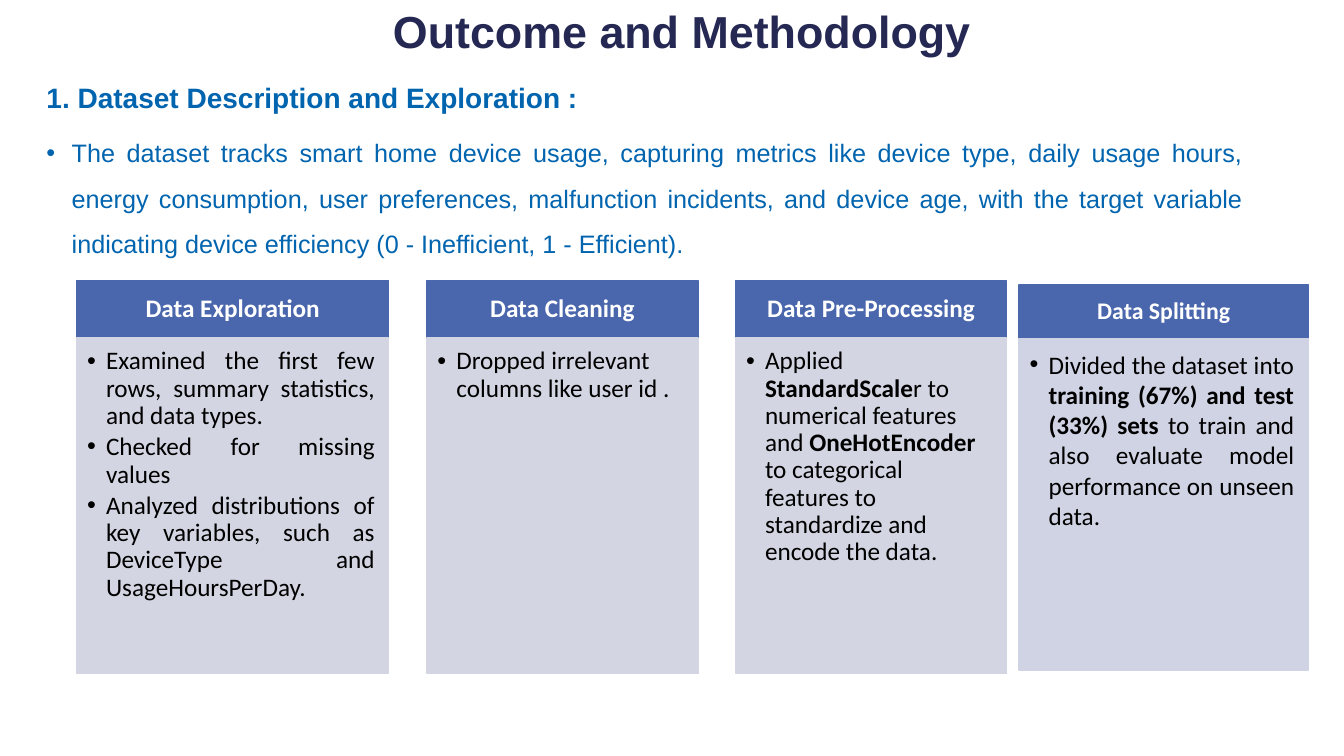
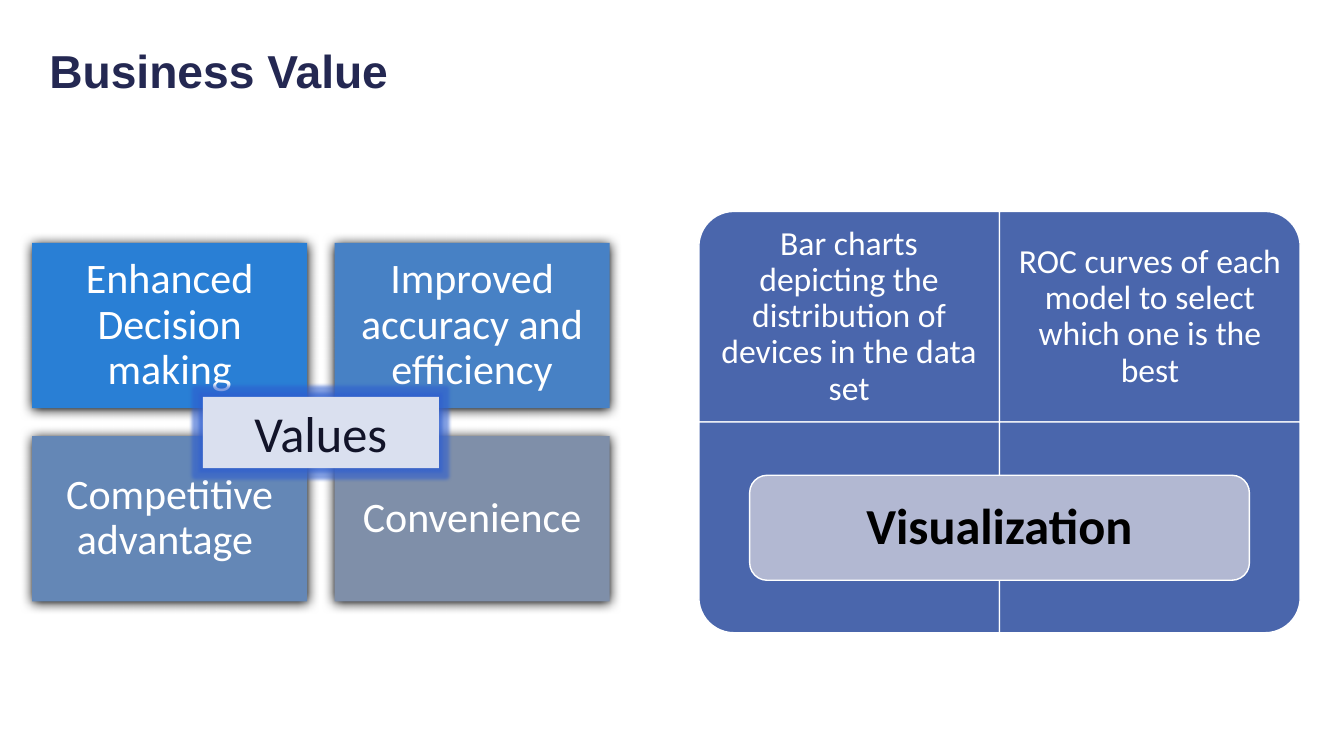
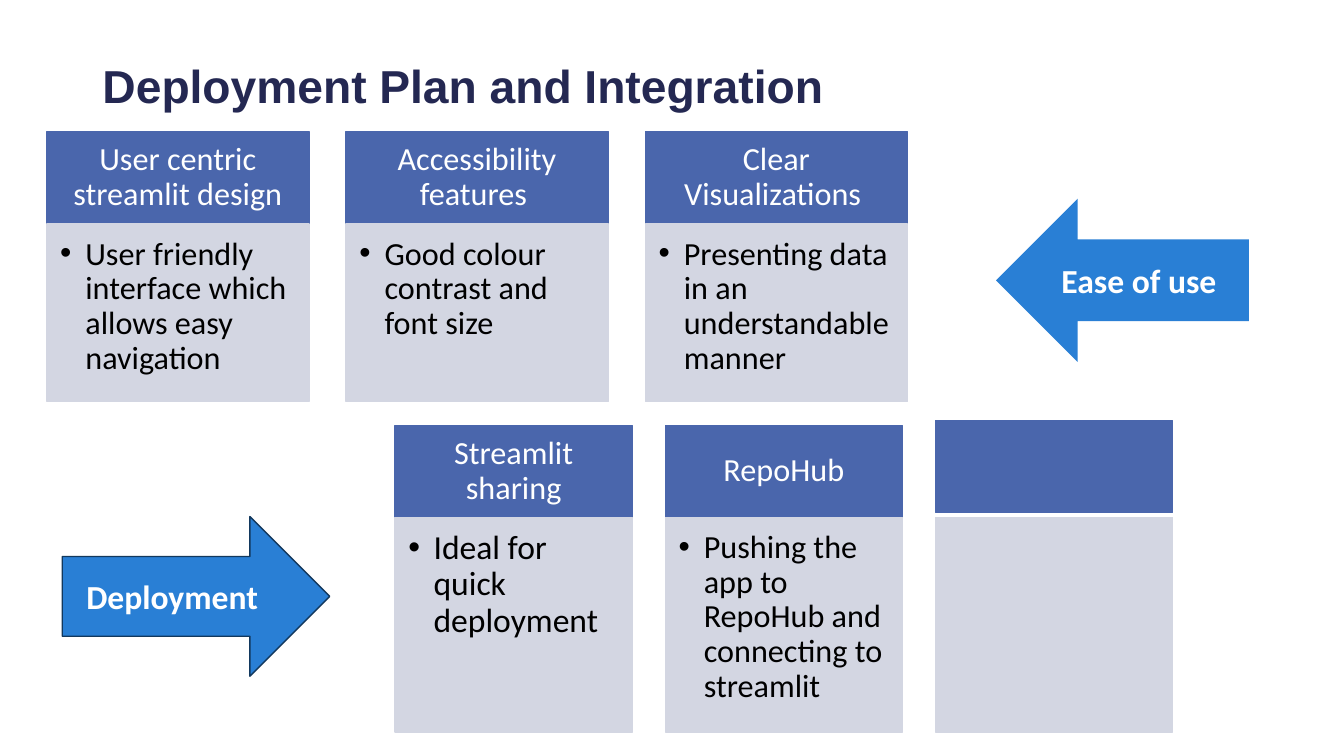
from lxml.etree import SubElement
from pptx import Presentation
from pptx.dml.color import RGBColor
from pptx.enum.shapes import MSO_SHAPE
from pptx.enum.text import MSO_ANCHOR, MSO_AUTO_SIZE, PP_ALIGN
from pptx.oxml import parse_xml
from pptx.oxml.ns import qn
from pptx.util import Pt

NAVY, HEADING_BLUE, HEADER_BLUE, BRIGHT_BLUE = "242852", "0064AF", "4A66AC", "297FD5"
PALE, PALE_LILAC, WHITE, BLACK = "D3D6E2", "D0D3E3", "FFFFFF", "000000"
LEFT, CENTER, JUSTIFY = PP_ALIGN.LEFT, PP_ALIGN.CENTER, PP_ALIGN.JUSTIFY
EFFECTS = ('<a:effectLst xmlns:a="http://schemas.openxmlformats.org/drawingml/2006/main">'
           '{}</a:effectLst>')
SOFT_SHADOW = EFFECTS.format(
    '<a:outerShdw blurRad="107950" dist="12700" dir="5400000">'
    '<a:srgbClr val="000000"/></a:outerShdw>')
BLUE_GLOW = EFFECTS.format(
    '<a:glow rad="63500"><a:srgbClr val="2F5FD0"><a:alpha val="60000"/></a:srgbClr></a:glow>')


def write(shape, texts, size, color, font="Calibri", bold=False, align=CENTER, spacing=0.9,
          indent=0, after=3, anchor=MSO_ANCHOR.MIDDLE, insets=(7.2, 3.6, 7.2, 3.6)):
    """Fill a shape with paragraphs; text between asterisks is bold."""
    frame = shape.text_frame
    frame.word_wrap = True
    frame.auto_size = MSO_AUTO_SIZE.NONE
    frame.vertical_anchor = anchor
    (frame.margin_left, frame.margin_top,
     frame.margin_right, frame.margin_bottom) = [Pt(inset) for inset in insets]
    for index, text in enumerate(texts):
        paragraph = frame.add_paragraph() if index else frame.paragraphs[0]
        properties = paragraph._p.get_or_add_pPr()
        properties.set("marL", str(Pt(indent)))
        properties.set("indent", str(-Pt(indent)))
        if indent:
            SubElement(properties, qn("a:buFont")).set("typeface", "Arial")
            SubElement(properties, qn("a:buChar")).set("char", "•")
        else:
            SubElement(properties, qn("a:buNone"))
        paragraph.alignment = align
        paragraph.line_spacing = spacing
        paragraph.space_before = Pt(0)
        paragraph.space_after = Pt(after)
        for part, words in enumerate(text.split("*")):
            run = paragraph.add_run()
            run.text = words
            run.font.name = font
            run.font.size = Pt(size)
            run.font.bold = bold or part % 2 == 1
            run.font.color.rgb = RGBColor.from_string(color)


def block(slide, kind, left, top, width, height, fill, line=None):
    shape = slide.shapes.add_shape(kind, Pt(left), Pt(top), Pt(width), Pt(height))
    shape.shadow.inherit = False
    shape.fill.solid()
    shape.fill.fore_color.rgb = RGBColor.from_string(fill)
    if line:
        shape.line.color.rgb = RGBColor.from_string(line)
        shape.line.width = Pt(1)
    else:
        shape.line.fill.background()
    return shape


prs = Presentation()
prs.slide_width, prs.slide_height = Pt(960), Pt(540)

# Slides and titles: layout, text, left, top, size
slides = []
for layout, heading, left, top, size in [
    (1, "Outcome and Methodology", 273.5, -10, 32),
    (5, "Business Value", 28, 18, 33),
    (5, "Deployment Plan and Integration", 66, 29, 33),
]:
    slide = prs.slides.add_slide(prs.slide_layouts[layout])
    title = slide.shapes.title
    title.left, title.top, title.width, title.height = Pt(left), Pt(top), Pt(828), Pt(64)
    write(title, [heading], size, NAVY, "Arial", True, LEFT, 1)
    slides.append(slide)
methodology, value, deployment = slides

# Methodology: introduction
intro = methodology.placeholders[1]
intro.left, intro.top, intro.width, intro.height = Pt(26), Pt(54), Pt(869), Pt(142)
write(intro, [
    "*1. Dataset Description and Exploration :*",
    "The dataset tracks smart home device usage, capturing metrics like device type, daily usage "
    "hours, energy consumption, user preferences, malfunction incidents, and device age, with the "
    "target variable indicating device efficiency (0 - Inefficient, 1 - Efficient).",
], 18, HEADING_BLUE, "Arial", align=JUSTIFY, spacing=1.5, indent=18, after=6,
    anchor=MSO_ANCHOR.TOP)
intro_heading = intro.text_frame.paragraphs[0]
intro_heading.alignment, intro_heading.line_spacing = LEFT, 1
intro_heading._p.pPr.set("marL", "0")
intro_heading._p.pPr.set("indent", "0")
bullet = intro_heading._p.pPr.find(qn("a:buChar"))
intro_heading._p.pPr.replace(bullet, bullet.makeelement(qn("a:buNone")))
for run in intro_heading.runs:
    run.font.size = Pt(20)

# Methodology: four steps
for name, points, left, width, top, split, bottom, size, align, spacing, fill in [
    ("Data Exploration", [
        "Examined the first few rows, summary statistics, and data types.",
        "Checked for missing values",
        "Analyzed distributions of key variables, such as DeviceType and UsageHoursPerDay.",
    ], 54.75, 223, 200.5, 241.5, 481, 18, JUSTIFY, 0.9, PALE),
    ("Data Cleaning", ["Dropped irrelevant columns like user id ."],
     305, 193.5, 200.5, 241.5, 481, 18, LEFT, 0.9, PALE),
    ("Data Pre-Processing", [
        "Applied *StandardScale*r to numerical features and *OneHotEncoder* to categorical "
        "features to standardize and encode the data.",
    ], 525.5, 193.5, 200.5, 241.5, 481, 18, LEFT, 0.9, PALE),
    ("Data Splitting", [
        "Divided the dataset into *training (67%) and test (33%) sets *to train and also evaluate "
        "model performance on unseen data.",
    ], 728, 206.5, 203.5, 242, 478.5, 17, JUSTIFY, 1, PALE_LILAC),
]:
    header = block(methodology, MSO_SHAPE.RECTANGLE, left, top, width, split - top,
                   HEADER_BLUE, HEADER_BLUE)
    write(header, [name], size, WHITE, bold=True)
    details = block(methodology, MSO_SHAPE.RECTANGLE, left, split, width, bottom - split,
                    fill, fill)
    right_inset = 11 if align == LEFT else 10
    write(details, points, 18, BLACK, align=align, spacing=spacing, indent=13.5,
          anchor=MSO_ANCHOR.TOP, insets=(7.5, 7.2, right_inset, 12))

# Business value: two by two grid with a centre label
for index, (benefit, fill) in enumerate([
    ("Enhanced Decision making", BRIGHT_BLUE),
    ("Improved accuracy and efficiency", "4781C5"),
    ("Competitive advantage ", "6487B6"),
    ("Convenience", "7F8FA9"),
]):
    row, column = divmod(index, 2)
    tile = block(value, MSO_SHAPE.RECTANGLE, 23 + 216 * column, 173.5 + 138 * row, 196.5, 118, fill)
    tile._element.spPr.replace(tile._element.spPr.find(qn("a:effectLst")), parse_xml(SOFT_SHADOW))
    write(tile, [benefit], 30, WHITE, insets=(8.5, 8.5, 8.5, 8.5))

# Business value: four quarters, each rounded at its outer corner
for index, (chart, left_inset, right_inset) in enumerate([
    ("Bar charts depicting the distribution of devices in the data set", 6, 13.5),
    ("ROC curves of each model to select which one is the best", 13.5, 6),
    (None, 0, 0), (None, 0, 0),
]):
    row, column = divmod(index, 2)
    quarter = block(value, MSO_SHAPE.ROUND_1_RECTANGLE, 499.25 + 214.75 * column,
                    151 + 150.5 * row, 214.75, 150.5, HEADER_BLUE, WHITE)
    if column == 0:
        quarter._element.spPr.xfrm.set("flipH", "1")
    if row == 1:
        quarter._element.spPr.xfrm.set("flipV", "1")
    if chart:
        write(quarter, [chart], 24, WHITE, insets=(left_inset, 0, right_inset, 0))
visualization = block(value, MSO_SHAPE.ROUNDED_RECTANGLE, 535.5, 339.5, 357, 75, "B2B8D2", WHITE)
write(visualization, ["Visualization"], 36, BLACK, bold=True)

values = block(value, MSO_SHAPE.RECTANGLE, 145, 283.5, 168.5, 51, "DAE0EF")
values._element.spPr.replace(values._element.spPr.find(qn("a:effectLst")), parse_xml(BLUE_GLOW))
write(values, ["Values"], 36, "121429", spacing=1)

# Deployment: two rows of cards
for left, step, width, top, split, bottom, cards in [
    (33.5, 213.75, 187.25, 94, 160, 287, [
        ("User centric streamlit design", "User friendly interface which allows easy navigation", 23),
        ("Accessibility features ", "Good colour contrast and font size", 23),
        ("Clear Visualizations ", "Presenting data in an understandable manner", 23),
    ]),
    (282.25, 193, 169.5, 304, 369.5, 523, [
        ("Streamlit sharing", "Ideal for quick deployment", 24),
        ("RepoHub", "Pushing the app to RepoHub and connecting to streamlit", 23),
        (None, None, 23),
    ]),
]:
    for column, (name, point, size) in enumerate(cards):
        card_left = left + step * column
        header_top = top if name else top - 3.5
        header = block(deployment, MSO_SHAPE.RECTANGLE, card_left, header_top, width, split - top,
                       HEADER_BLUE, HEADER_BLUE)
        details = block(deployment, MSO_SHAPE.RECTANGLE, card_left, split, width, bottom - split,
                        PALE, PALE)
        if name:
            write(header, [name], size=23, color=WHITE, insets=(13, 7, 13, 7))
            write(details, [point], size, BLACK, align=LEFT, indent=18,
                  anchor=MSO_ANCHOR.TOP, insets=(9.5, 9.5, 12, 14))

# Deployment: arrows naming the rows
for kind, name, left, top, width, height, line in [
    (MSO_SHAPE.LEFT_ARROW, "Ease of use ", 711.5, 142, 180.5, 116.5, None),
    (MSO_SHAPE.RIGHT_ARROW, "Deployment ", 44.5, 369, 191, 114, "12385D"),
]:
    arrow = block(deployment, kind, left, top, width, height, BRIGHT_BLUE, line)
    write(arrow, [name], 24, WHITE, bold=True, spacing=1)

prs.save("out.pptx")
